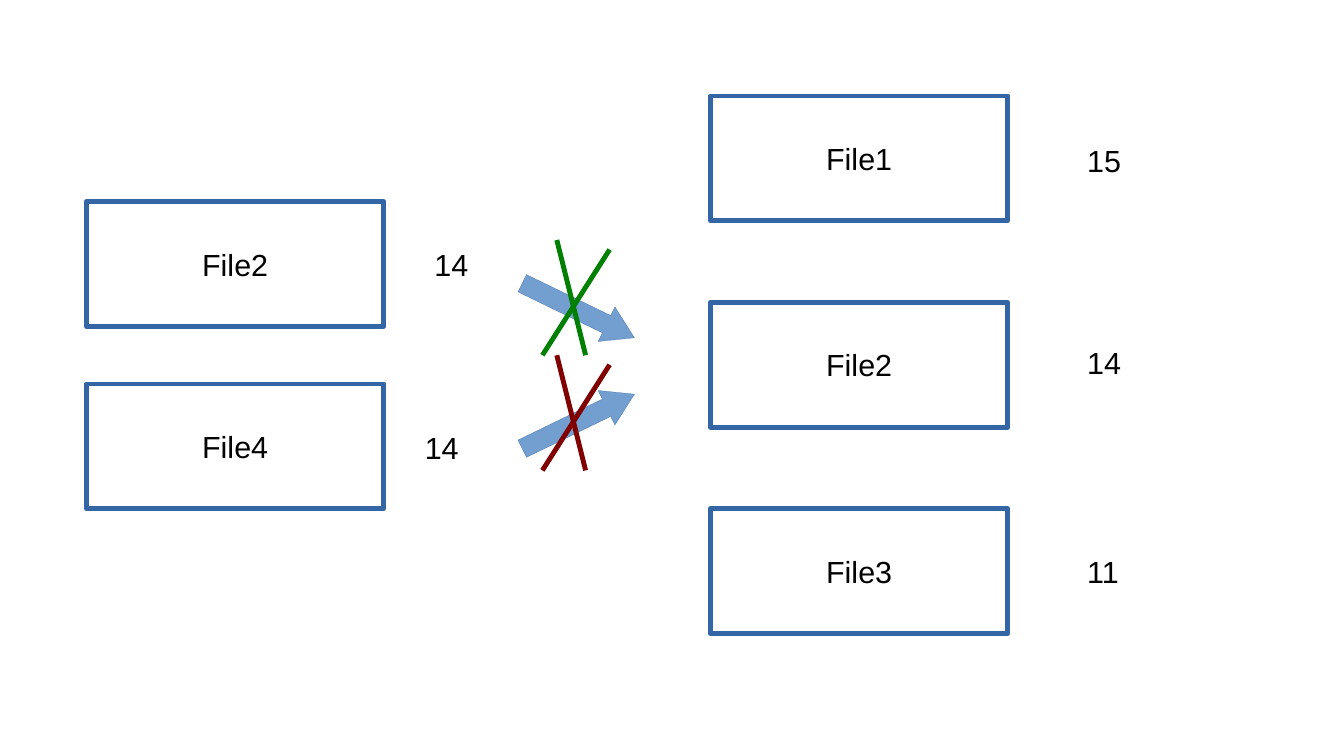
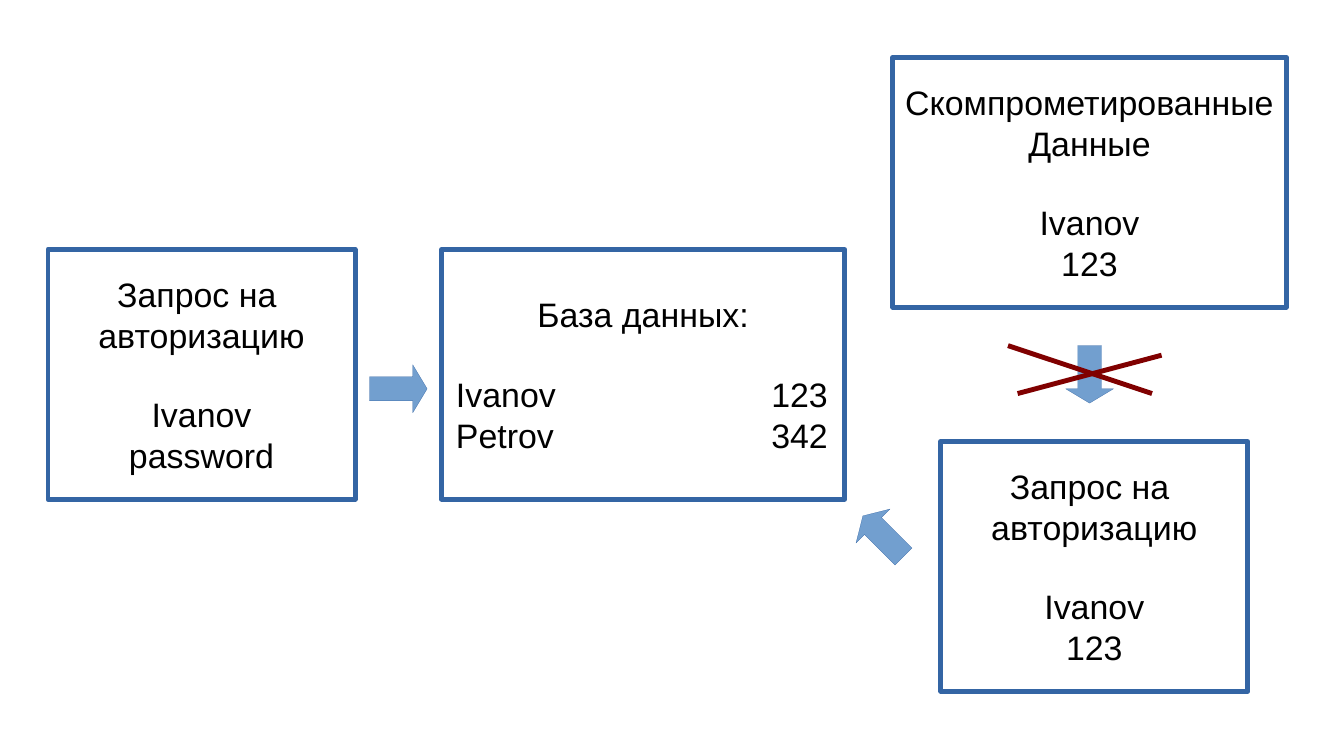
"""Build two slides: a file hash comparison and a database login scheme."""
from dataclasses import dataclass

from lxml.etree import SubElement
from pptx import Presentation
from pptx.dml.color import RGBColor
from pptx.enum.shapes import MSO_CONNECTOR, MSO_SHAPE
from pptx.enum.text import MSO_ANCHOR, PP_ALIGN
from pptx.oxml.ns import qn
from pptx.util import Cm, Pt


@dataclass(frozen=True)
class Theme:
    font: str = "Arial"
    text: str = "000000"
    outline: str = "3465A4"
    arrow: str = "729FCF"
    green: str = "008000"
    red: str = "800000"
    small: int = 18
    large: int = 20
    thick: float = 2.89
    hairline: float = 0.1
    line_height: float = 1.15


theme = Theme()


def write_text(shape, text, values="", size=theme.small, align=PP_ALIGN.CENTER,
               anchor=MSO_ANCHOR.MIDDLE, wrap=False, insets=(0.3, 0.18), tab=None):
    """Write heading lines, then value lines set off by one line of space."""
    frame = shape.text_frame
    frame.word_wrap = wrap
    frame.vertical_anchor = anchor
    frame.margin_left = frame.margin_right = Cm(insets[0])
    frame.margin_top = frame.margin_bottom = Cm(insets[1])
    headings = text.split("\n")
    lines = headings + (values.split("\n") if values else [])
    for index, line in enumerate(lines):
        paragraph = frame.paragraphs[0] if index == 0 else frame.add_paragraph()
        paragraph.alignment = align
        if index == len(headings):
            paragraph.space_before = Pt(size * theme.line_height)
        if "\t" in line:
            paragraph.alignment = PP_ALIGN.LEFT
            tab_list = SubElement(paragraph._p.get_or_add_pPr(), qn("a:tabLst"))
            SubElement(tab_list, qn("a:tab"), pos=str(Cm(tab)), algn="r")
        run = paragraph.add_run()
        run.text = line
        run.font.name = theme.font
        run.font.size = Pt(size)
        run.font.color.rgb = RGBColor.from_string(theme.text)


def set_line(shape, color, width):
    """Give a shape or connector a plain line with round joins."""
    shape.line.color.rgb = RGBColor.from_string(color)
    shape.line.width = Pt(width)
    SubElement(shape._element.spPr.find(qn("a:ln")), qn("a:round"))


file_width, file_height = 6.2, 2.6
file_columns = [
    (14.8, 2.0, 4.3, ["File1", "File2", "File3"]),
    (1.8, 4.2, 3.8 + 0.8, []),
]
file_columns[1] = (1.8, 4.2, 3.8, ["File2", "File4"])
file_boxes = [
    (left, top + row * step, file_width, file_height, name, "", theme.small)
    for left, top, step, names in file_columns
    for row, name in enumerate(names)
]
hash_labels = [(22.4, 2.84, "15"), (22.4, 7.04, "14"), (22.4, 11.4, "11"),
               (8.8, 5.0, "14"), (8.6, 8.8, "14")]
file_arrows = [(10.75, 6.07, 2.6, 0.8, 25.9, 0.81), (10.75, 8.38, 2.6, 0.8, 334.1, 0.81)]
file_crosses = [
    (color, [(11.6, 5.0 + shift, 12.2, 7.4 + shift), (12.7, 5.2 + shift, 11.3, 7.4 + shift)])
    for color, shift in [(theme.green, 0), (theme.red, 2.4)]
]

login_height = 5.2
request = "Запрос на \nавторизацию"
login_boxes = [
    (left, top, width, login_height, heading, values, theme.large)
    for left, top, width, heading, values in [
        (9.2, 5.2, 8.4, "База данных:", "Ivanov\t123\nPetrov\t342"),
        (1.0, 5.2, 6.4, request, "Ivanov\npassword"),
        (18.6, 1.2, 8.2, "Скомпрометированные\nДанные", "Ivanov\n123"),
        (19.6, 9.2, 6.4, request, "Ivanov\n123"),
    ]
]
login_arrows = [
    (left, top, 1.2, 1.0, rotation, 0.3)
    for left, top, rotation in [(7.7, 7.6, 0), (22.1, 7.3, 90), (17.8, 10.67, 225)]
]
login_crosses = [(theme.red, [(21.2, 8.2, 24.2, 7.4), (21.0, 7.2, 24.0, 8.2)])]

presentation = Presentation()
presentation.slide_width, presentation.slide_height = Cm(28), Cm(15.75)

for boxes, labels, arrows, crosses in [
    (file_boxes, hash_labels, file_arrows, file_crosses),
    (login_boxes, [], login_arrows, login_crosses),
]:
    slide = presentation.slides.add_slide(presentation.slide_layouts[6])

    for left, top, width, height, heading, values, size in boxes:
        box = slide.shapes.add_shape(MSO_SHAPE.RECTANGLE, Cm(left), Cm(top), Cm(width), Cm(height))
        box.shadow.inherit = False
        box.fill.background()
        set_line(box, theme.outline, theme.thick)
        write_text(box, heading, values, size=size, wrap="\t" in values, tab=width - 0.65)

    for left, top, value in labels:
        label = slide.shapes.add_textbox(Cm(left), Cm(top), Cm(1.4), Cm(0.97))
        write_text(label, value, align=PP_ALIGN.LEFT, anchor=MSO_ANCHOR.TOP,
                   wrap=True, insets=(0.25, 0.13))

    for left, top, width, height, rotation, head in arrows:
        arrow = slide.shapes.add_shape(MSO_SHAPE.RIGHT_ARROW, Cm(left), Cm(top), Cm(width), Cm(height))
        arrow.shadow.inherit = False
        arrow.rotation = rotation
        arrow.adjustments[0], arrow.adjustments[1] = 0.5, head
        arrow.fill.solid()
        arrow.fill.fore_color.rgb = RGBColor.from_string(theme.arrow)
        set_line(arrow, theme.outline, theme.hairline)

    for color, strokes in crosses:
        for stroke in strokes:
            connector = slide.shapes.add_connector(MSO_CONNECTOR.STRAIGHT, *map(Cm, stroke))
            set_line(connector, color, theme.thick)
            SubElement(connector._element.spPr, qn("a:effectLst"))

presentation.save("out.pptx")
